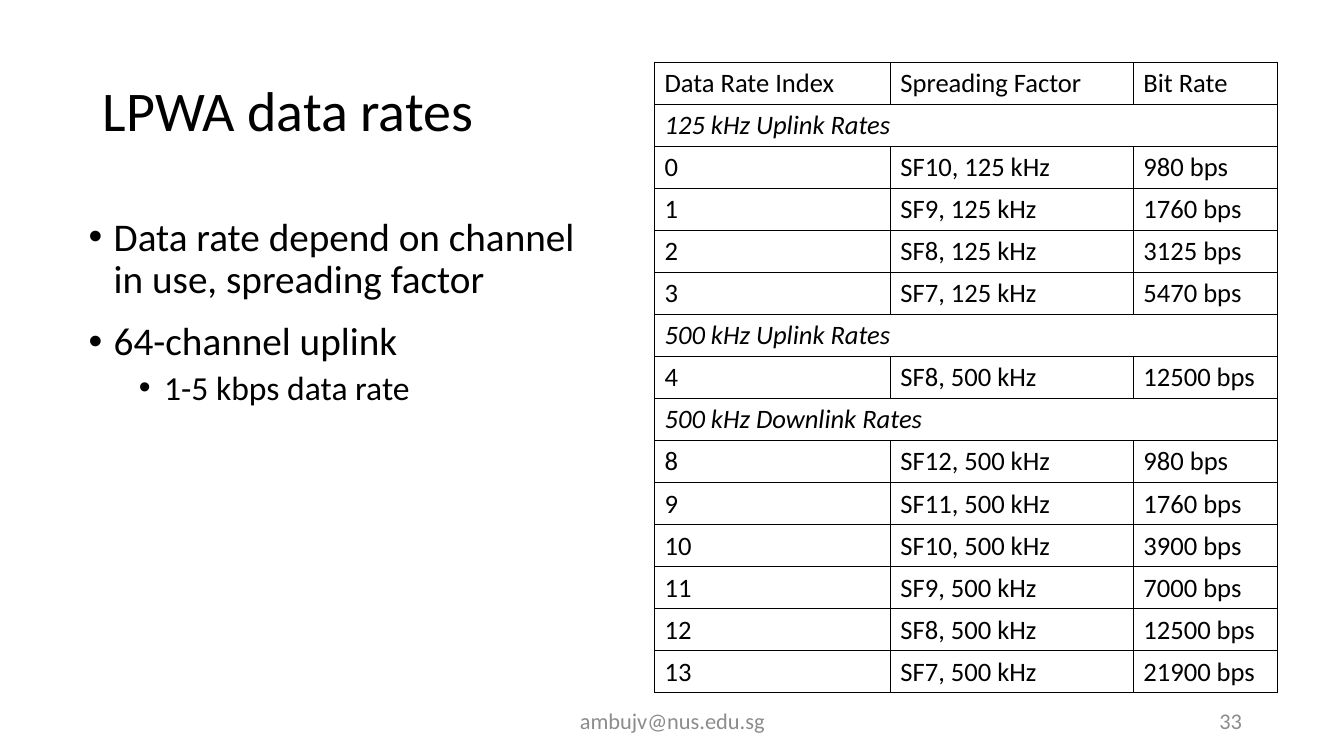
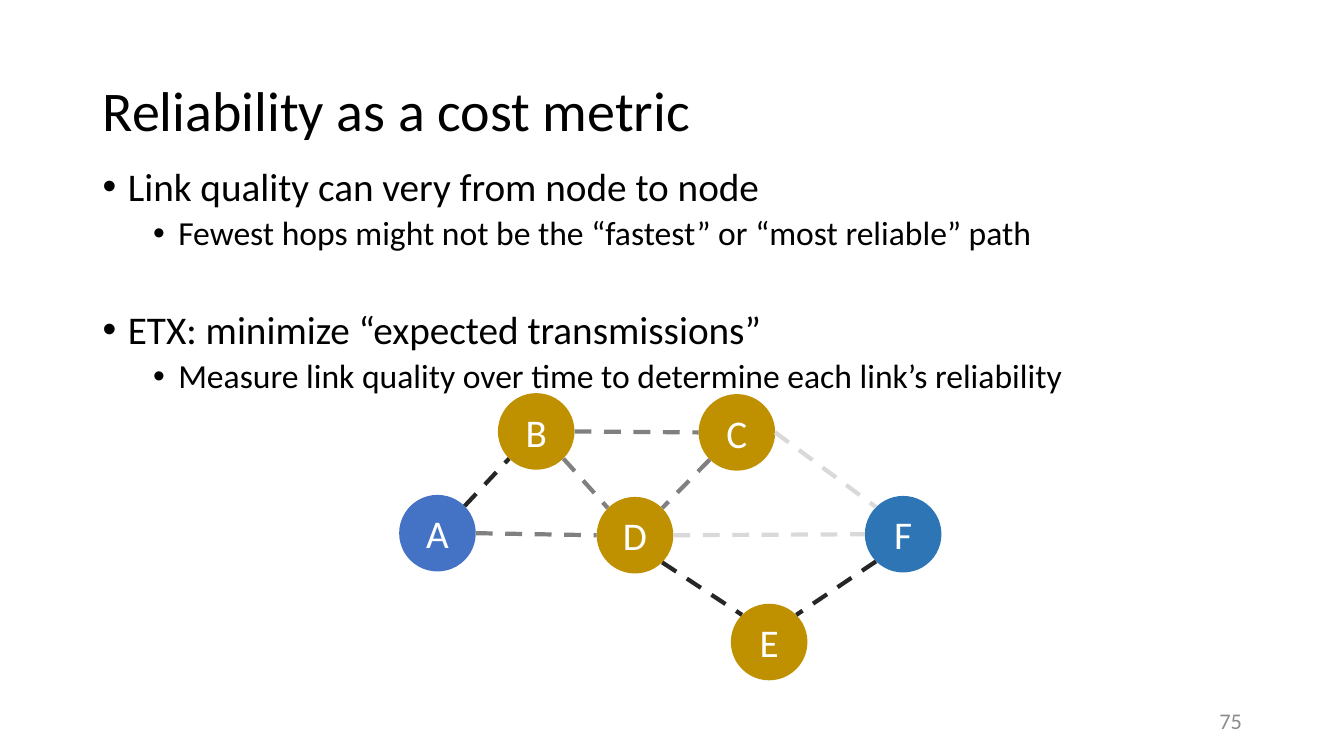
from lxml.etree import SubElement
from pptx import Presentation
from pptx.dml.color import RGBColor
from pptx.enum.dml import MSO_LINE_DASH_STYLE as Dash
from pptx.enum.shapes import MSO_CONNECTOR as Connector, MSO_SHAPE as Shape
from pptx.enum.text import MSO_ANCHOR as Anchor, MSO_AUTO_SIZE as AutoSize, PP_ALIGN as Align
from pptx.oxml.ns import qn
from pptx.util import Inches, Pt

BLACK = RGBColor(0x00, 0x00, 0x00)
WHITE = RGBColor(0xFF, 0xFF, 0xFF)
FOOTER_GREY = RGBColor(0x8C, 0x8C, 0x8C)
SOURCE_BLUE = RGBColor(0x44, 0x72, 0xC4)
SINK_BLUE = RGBColor(0x2E, 0x75, 0xB6)
RELAY_GOLD = RGBColor(0xBF, 0x90, 0x00)
STRONG = RGBColor(0x26, 0x26, 0x26)
MEDIUM = RGBColor(0x80, 0x80, 0x80)
WEAK = RGBColor(0xD9, 0xD9, 0xD9)

FONT = "Calibri"
TITLE_ONLY = 5
NODE_SIZE = Inches(0.76)
DIAGONAL = 0.71
SITES = {
    "left": (-1, 0), "right": (1, 0),
    "top left": (-DIAGONAL, -DIAGONAL), "top right": (DIAGONAL, -DIAGONAL),
    "bottom left": (-DIAGONAL, DIAGONAL), "bottom right": (DIAGONAL, DIAGONAL),
}

RATE_ROWS = [
    ("Data Rate Index", "Spreading Factor", "Bit Rate"),
    ("125 kHz Uplink Rates",),
    ("0", "SF10, 125 kHz", "980 bps"),
    ("1", "SF9, 125 kHz", "1760 bps"),
    ("2", "SF8, 125 kHz", "3125 bps"),
    ("3", "SF7, 125 kHz", "5470 bps"),
    ("500 kHz Uplink Rates",),
    ("4", "SF8, 500 kHz", "12500 bps"),
    ("500 kHz Downlink Rates",),
    ("8", "SF12, 500 kHz", "980 bps"),
    ("9", "SF11, 500 kHz", "1760 bps"),
    ("10", "SF10, 500 kHz", "3900 bps"),
    ("11", "SF9, 500 kHz", "7000 bps"),
    ("12", "SF8, 500 kHz", "12500 bps"),
    ("13", "SF7, 500 kHz", "21900 bps"),
]

NODES = {
    "A": (32.55, 70.53, SOURCE_BLUE),
    "B": (39.9, 57.07, RELAY_GOLD),
    "C": (54.83, 57.2, RELAY_GOLD),
    "D": (47.25, 70.8, RELAY_GOLD),
    "E": (57.23, 84.93, RELAY_GOLD),
    "F": (67.2, 70.67, SINK_BLUE),
}

LINKS = [
    ("A", "top right", "B", "bottom left", STRONG),
    ("B", "right", "C", "left", MEDIUM),
    ("B", "bottom right", "D", "top left", MEDIUM),
    ("C", "bottom left", "D", "top right", MEDIUM),
    ("C", "right", "F", "top left", WEAK),
    ("D", "right", "F", "left", WEAK),
    ("D", "bottom right", "E", "top left", STRONG),
    ("F", "bottom left", "E", "top right", STRONG),
    ("A", "right", "D", "left", MEDIUM),
]


class Deck:
    def __init__(self):
        self.prs = Presentation()
        self.prs.slide_width = Inches(13.33)
        self.prs.slide_height = Inches(7.5)
        self.slide = None

    def x(self, percent):
        return round(self.prs.slide_width * percent / 100)

    def y(self, percent):
        return round(self.prs.slide_height * percent / 100)

    def area(self, left, top, width, height):
        return self.x(left), self.y(top), self.x(width), self.y(height)

    def style(self, paragraph, size, color, align=Align.LEFT, italic=False):
        paragraph.alignment = align
        for run in paragraph.runs:
            font = run.font
            font.name, font.size, font.italic = FONT, Pt(size), italic
            font.color.rgb = color

    def new_slide(self, heading, number):
        self.slide = self.prs.slides.add_slide(self.prs.slide_layouts[TITLE_ONLY])
        title = self.slide.shapes.title
        title.left, title.top, title.width, title.height = self.area(6.9, 5.33, 86.25, 19.33)
        frame = title.text_frame
        frame.text = heading
        frame.vertical_anchor = Anchor.MIDDLE
        frame.auto_size = AutoSize.NONE
        frame.paragraphs[0].line_spacing = 0.9
        self.style(frame.paragraphs[0], 40, BLACK)
        self.footer(number, 70.65, 22.5, Align.RIGHT)

    def text_frame(self, left, top, width, height):
        frame = self.slide.shapes.add_textbox(*self.area(left, top, width, height)).text_frame
        frame.word_wrap = True
        return frame

    def footer(self, text, left, width, align):
        frame = self.text_frame(left, 92.67, width, 5.33)
        frame.vertical_anchor = Anchor.MIDDLE
        frame.text = text
        self.style(frame.paragraphs[0], 16, FOOTER_GREY, align)

    def bullets(self, area, items):
        frame = self.text_frame(*area)
        frame.text = "\n".join(text for text, _, _ in items)
        for paragraph, (_, level, gap) in zip(frame.paragraphs, items):
            paragraph.level = level
            paragraph.line_spacing = 0.9
            paragraph.space_before = Pt(gap)
            props = paragraph._p.get_or_add_pPr()
            props.set("marL", str(Inches(0.25 + 0.5 * level)))
            props.set("indent", str(Inches(-0.25)))
            SubElement(props, qn("a:buFont"), typeface="Arial")
            SubElement(props, qn("a:buChar"), char="•")
            self.style(paragraph, 28 - 4 * level, BLACK)

    def border(self, cell):
        props = cell._tc.get_or_add_tcPr()
        for side in ("a:lnL", "a:lnR", "a:lnT", "a:lnB"):
            line = SubElement(props, qn(side), w=str(Pt(1)))
            fill = SubElement(line, qn("a:solidFill"))
            SubElement(fill, qn("a:srgbClr"), val=str(BLACK))

    def table(self, left, top, widths, row_height, rows):
        area = self.area(left, top, sum(widths), row_height * len(rows))
        table = self.slide.shapes.add_table(len(rows), len(widths), *area).table
        table.first_row = table.horz_banding = False
        for column, width in zip(table.columns, widths):
            column.width = self.x(width)
        for r, texts in enumerate(rows):
            table.rows[r].height = self.y(row_height)
            for cell in table.rows[r].cells:
                self.border(cell)
                cell.fill.background()
            is_section = len(texts) == 1
            if is_section:
                table.cell(r, 0).merge(table.cell(r, len(widths) - 1))
            for c, text in enumerate(texts):
                frame = table.cell(r, c).text_frame
                frame.text = text
                self.style(frame.paragraphs[0], 19, BLACK, italic=is_section)

    def node(self, label, center_x, center_y, color):
        left = self.x(center_x) - NODE_SIZE // 2
        top = self.y(center_y) - NODE_SIZE // 2
        node = self.slide.shapes.add_shape(Shape.OVAL, left, top, NODE_SIZE, NODE_SIZE)
        node.shadow.inherit = False
        node.fill.solid()
        node.fill.fore_color.rgb = color
        node.line.fill.background()
        frame = node.text_frame
        frame.text = label
        frame.vertical_anchor = Anchor.MIDDLE
        self.style(frame.paragraphs[0], 28, WHITE, Align.CENTER)
        return node

    def link(self, start, start_site, end, end_site, color):
        points = []
        for node, site in ((start, start_site), (end, end_site)):
            across, down = SITES[site]
            points.append(round(node.left + node.width * (1 + across) / 2))
            points.append(round(node.top + node.height * (1 + down) / 2))
        link = self.slide.shapes.add_connector(Connector.STRAIGHT, *points)
        link.line.color.rgb = color
        link.line.width = Pt(3)
        link.line.dash_style = Dash.DASH
        SubElement(link._element.spPr, qn("a:effectLst"))


def main():
    deck = Deck()

    deck.new_slide("LPWA data rates", "33")
    deck.table(48.7, 8.27, (17.55, 18.08, 10.73), 5.56, RATE_ROWS)
    deck.bullets((5.85, 28.13, 39.3, 50.27), [
        ("Data rate depend on channel in use, spreading factor", 0, 0),
        ("64-channel uplink", 0, 14),
        ("1-5 kbps data rate", 1, 5),
    ])
    deck.footer("ambujv@nus.edu.sg", 33.15, 33.75, Align.CENTER)

    deck.new_slide("Reliability as a cost metric", "75")
    deck.bullets((6.9, 21.47, 86.25, 63.47), [
        ("Link quality can very from node to node", 0, 0),
        ("Fewest hops might not be the “fastest” or “most reliable” path", 1, 5),
        ("ETX: minimize “expected transmissions”", 0, 41),
        ("Measure link quality over time to determine each link’s reliability", 1, 5),
    ])
    nodes = {label: deck.node(label, *place) for label, place in NODES.items()}
    for start, start_site, end, end_site, color in LINKS:
        deck.link(nodes[start], start_site, nodes[end], end_site, color)

    deck.prs.save("out.pptx")


if __name__ == "__main__":
    main()
